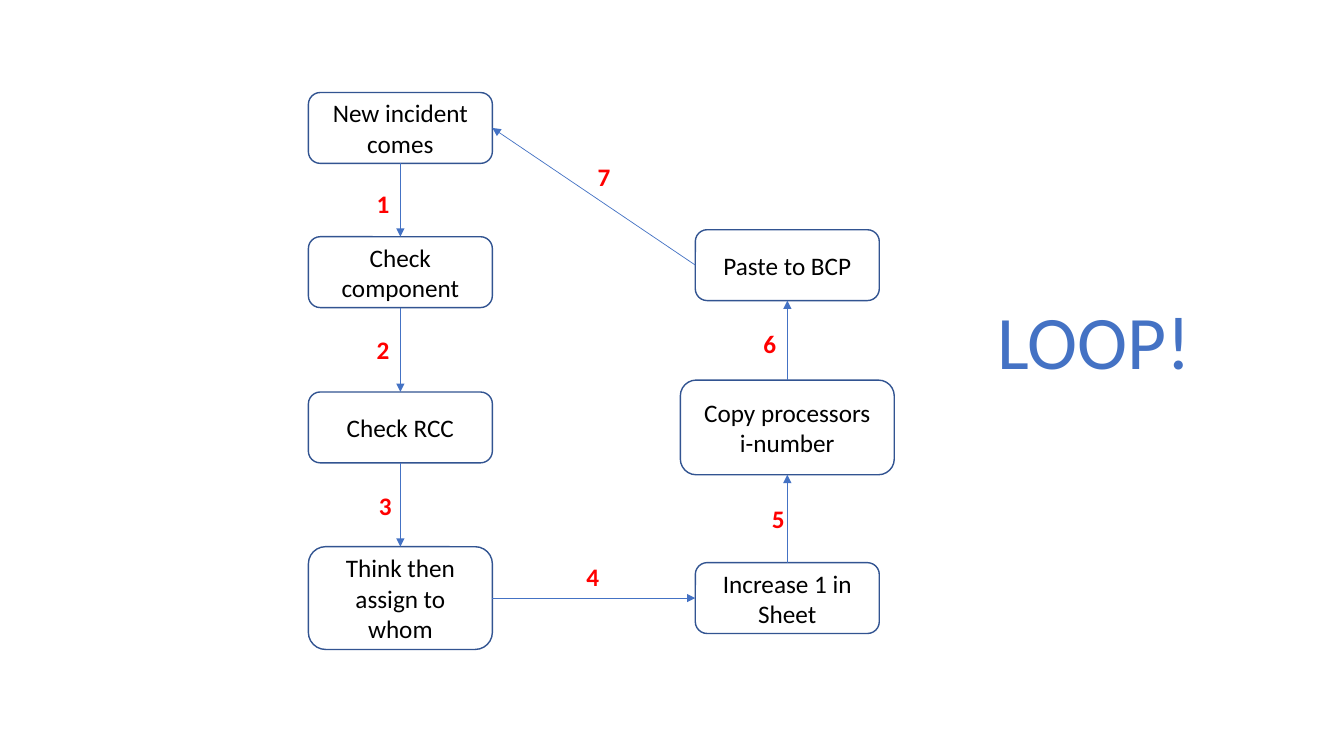
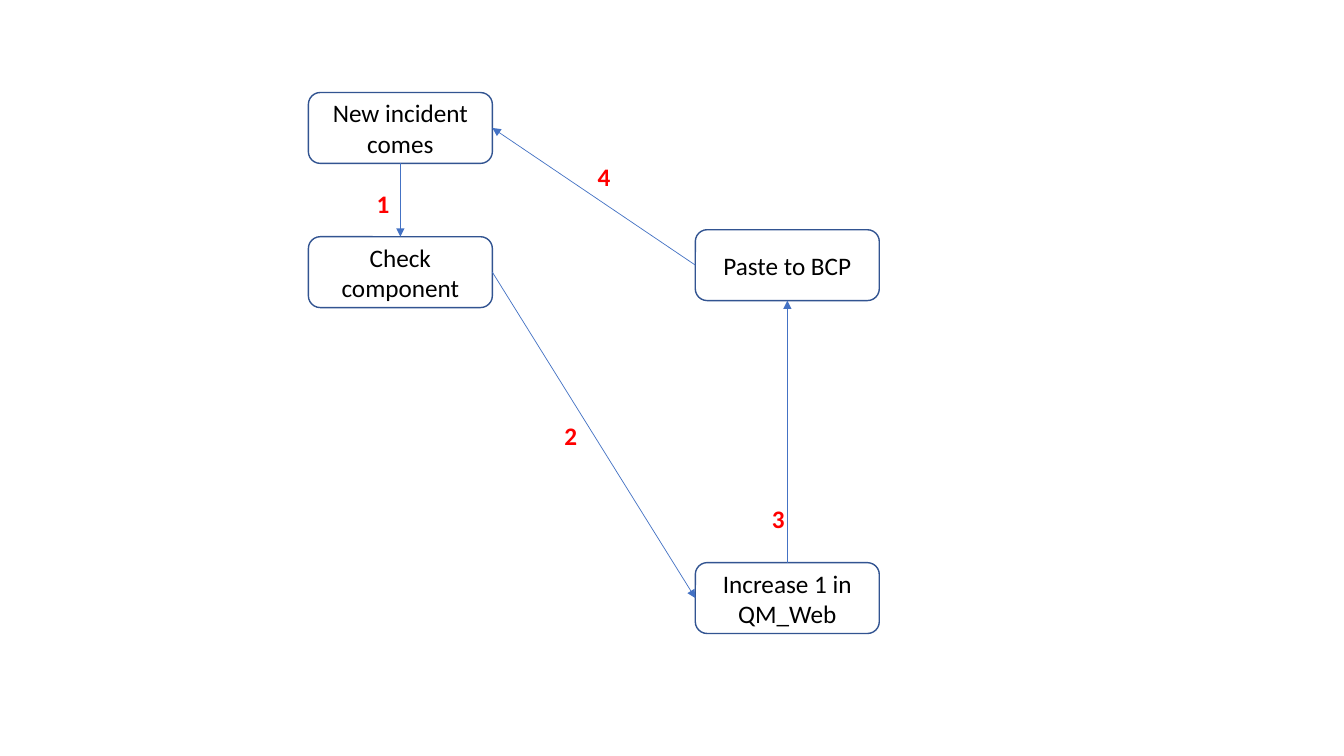
from pptx import Presentation
from pptx.dml.color import RGBColor
from pptx.enum.shapes import MSO_CONNECTOR as Connector, MSO_SHAPE as Preset
from pptx.enum.text import MSO_ANCHOR as Anchor, MSO_AUTO_SIZE as AutoSize, PP_ALIGN as Align
from pptx.oxml.ns import qn
from pptx.util import Pt
from lxml.etree import SubElement

# Columns and rows of the flow, as centre lines in points
LEFT, RIGHT = 286, 562.4
START_ROW, CHECK_ROW, PASTE_ROW, MIDDLE_ROW, BOTTOM_ROW = 91.4, 194.4, 189.4, 305.3, 427.2

# Connection sites of a rounded rectangle
TOP_SIDE, LEFT_SIDE, BOTTOM_SIDE, RIGHT_SIDE = range(4)


def color(hex_string):
    return RGBColor.from_string(hex_string)


def write(frame, text, size=18, ink="000000", bold=False, align=Align.CENTER):
    paragraph = frame.paragraphs[0]
    paragraph.alignment = align
    run = paragraph.add_run()
    run.text = text
    run.font.name = "Calibri"
    run.font.size = Pt(size)
    run.font.bold = bold
    run.font.color.rgb = color(ink)


class FlowDeck:
    WHITE, BORDER, BLUE, RED = "FFFFFF", "325491", "4472C4", "FF0000"

    def __init__(self):
        self.deck = Presentation()
        self.deck.slide_width, self.deck.slide_height = Pt(960), Pt(540)
        self.slide = None

    def new_slide(self):
        self.slide = self.deck.slides.add_slide(self.deck.slide_layouts[6])

    def step(self, text, center, middle, width=131.4, height=50.6):
        box = self.slide.shapes.add_shape(
            Preset.ROUNDED_RECTANGLE, Pt(center - width / 2), Pt(middle - height / 2),
            Pt(width), Pt(height))
        box.shadow.inherit = False
        box.fill.solid()
        box.fill.fore_color.rgb = color(self.WHITE)
        box.line.color.rgb = color(self.BORDER)
        box.line.width = Pt(1)
        box.text_frame.word_wrap = True
        box.text_frame.vertical_anchor = Anchor.MIDDLE
        write(box.text_frame, text)
        return box

    def arrow(self, source, source_side, target, target_side):
        link = self.slide.shapes.add_connector(Connector.STRAIGHT, 0, 0, 0, 0)
        link.begin_connect(source, source_side)
        link.end_connect(target, target_side)
        link.line.color.rgb = color(self.BLUE)
        link.line.width = Pt(0.5)
        SubElement(link.line._get_or_add_ln(), qn("a:tailEnd"), type="triangle")
        SubElement(link._element.spPr, qn("a:effectLst"))

    def label(self, text, left, top, width, height, **style):
        area = self.slide.shapes.add_textbox(Pt(left), Pt(top), Pt(width), Pt(height))
        area.text_frame.word_wrap = False
        area.text_frame.auto_size = AutoSize.SHAPE_TO_FIT_TEXT
        write(area.text_frame, text, **style)

    def number(self, text, left, top):
        self.label(text, left, top, 23.8, 29, ink=self.RED, bold=True, align=Align.LEFT)

    def shared_steps(self, counter, last_number):
        """Steps on both slides: the start, the component check, the counter and the paste."""
        incident = self.step("New incident comes", LEFT, START_ROW)
        component = self.step("Check component", LEFT, CHECK_ROW)
        increase = self.step(f"Increase 1 in {counter}", RIGHT, BOTTOM_ROW)
        paste = self.step("Paste to BCP", RIGHT, PASTE_ROW)
        self.arrow(incident, BOTTOM_SIDE, component, TOP_SIDE)
        self.number("1", 262, 131)
        self.arrow(paste, LEFT_SIDE, incident, RIGHT_SIDE)
        self.number(last_number, 419.8, 111.6)
        return component, increase, paste


def manual_loop(flow):
    flow.new_slide()
    component, increase, paste = flow.shared_steps("Sheet", "7")
    rcc = flow.step("Check RCC", LEFT, MIDDLE_ROW)
    assign = flow.step("Think then assign to whom", LEFT, BOTTOM_ROW, height=73.4)
    processors = flow.step("Copy processors i-number", RIGHT, MIDDLE_ROW, 152.8, 67.6)

    # Numbered arrows between the steps
    for number, left, top, source, source_side, target, target_side in (
        ("2", 262, 235.4, component, BOTTOM_SIDE, rcc, TOP_SIDE),
        ("3", 263.5, 347, rcc, BOTTOM_SIDE, assign, TOP_SIDE),
        ("4", 411.8, 397.4, assign, RIGHT_SIDE, increase, LEFT_SIDE),
        ("5", 544.3, 355.7, increase, TOP_SIDE, processors, BOTTOM_SIDE),
        ("6", 538.3, 231, processors, TOP_SIDE, paste, BOTTOM_SIDE),
    ):
        flow.arrow(source, source_side, target, target_side)
        flow.number(number, left, top)

    # Conclusion beside the flow
    flow.label("LOOP!", 704.2, 206.6, 154.8, 72.7, size=54, ink=flow.BLUE)


def shortened_loop(flow):
    flow.new_slide()
    component, increase, paste = flow.shared_steps("QM_Web", "4")
    flow.arrow(component, RIGHT_SIDE, increase, LEFT_SIDE)
    flow.number("2", 396, 296.6)
    flow.arrow(increase, TOP_SIDE, paste, BOTTOM_SIDE)
    flow.number("3", 544.3, 355.7)


def main():
    flow = FlowDeck()
    manual_loop(flow)
    shortened_loop(flow)
    flow.deck.save("out.pptx")


if __name__ == "__main__":
    main()
